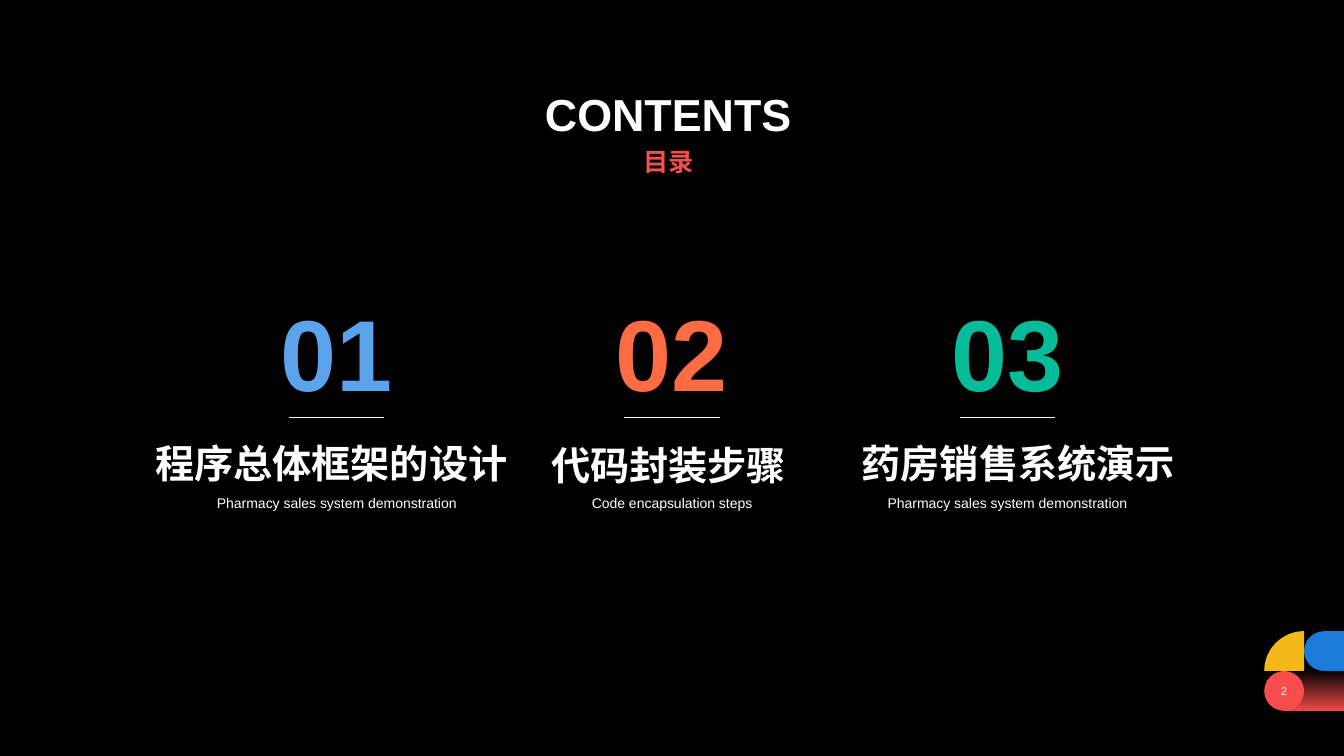
import pptx
import pptx.util
import pptx.dml.color
import pptx.enum.shapes
import pptx.enum.text
import pptx.oxml
import pptx.oxml.ns

Pt = pptx.util.Pt
Shape = pptx.enum.shapes.MSO_SHAPE
Align = pptx.enum.text.PP_ALIGN
Anchor = pptx.enum.text.MSO_ANCHOR
qn = pptx.oxml.ns.qn

COLORS = {
    "black": "000000", "white": "FFFFFF", "red": "F84D4D", "royal": "1B7ADA",
    "yellow": "F4B919", "sky": "5BA3EB", "orange": "FF6B42", "green": "06BB9A",
}
CHAPTERS = [
    ("01", "sky", "程序总体框架的设计", (103.7, 310.3, 274.3, 41),
     "Pharmacy sales system demonstration"),
    ("02", "orange", "代码封装步骤", (386.6, 311.8, 221.8, 41),
     "Code encapsulation steps"),
    ("03", "green", "药房销售系统演示", (608.4, 310.3, 239.8, 41),
     "Pharmacy sales system demonstration"),
]
FIRST_CENTER, PITCH = 240.5, 239.5
TILE, TILE_LEFT, TILE_TOP = 28.5, 903, 450.8


class SlideWriter:
    """Hold the slide style and the current page, and add elements to it."""

    def __init__(self, page, font="Arial"):
        self.page = page
        self.font = font
        page.background.fill.solid()
        page.background.fill.fore_color.rgb = self.color("black")

    def color(self, name):
        return pptx.dml.color.RGBColor.from_string(COLORS[name])

    def style(self, para, size, color, bold=False, align=Align.CENTER):
        para.alignment = align
        for span in para.runs:
            span.font.name = self.font
            span.font.size = Pt(size)
            span.font.bold = bold
            span.font.color.rgb = self.color(color)

    def title(self, frame, lines):
        box = self.page.shapes.title
        box.left, box.top, box.width, box.height = map(Pt, frame)
        text_frame = box.text_frame
        text_frame.text = "\n".join(text for text, size, color in lines)
        text_frame.vertical_anchor = Anchor.BOTTOM
        text_frame.auto_size = pptx.enum.text.MSO_AUTO_SIZE.NONE
        for para, (text, size, color) in zip(text_frame.paragraphs, lines):
            self.style(para, size, color, bold=True)
            para.line_spacing = 1.2
            para.space_before = Pt(0)

    def text(self, frame, text, size, color="white", bold=False,
             align=Align.CENTER, anchor=Anchor.TOP, wrap=True):
        box = self.page.shapes.add_textbox(*map(Pt, frame))
        box.text_frame.text = text
        box.text_frame.word_wrap = wrap
        box.text_frame.vertical_anchor = anchor
        self.style(box.text_frame.paragraphs[0], size, color, bold, align)

    def shape(self, kind, frame, color, adjustments=(), rotation=0):
        box = self.page.shapes.add_shape(kind, *map(Pt, frame))
        box.shadow.inherit = False
        box.line.fill.background()
        box.fill.solid()
        box.fill.fore_color.rgb = self.color(color)
        box.rotation = rotation
        for index, value in enumerate(adjustments):
            box.adjustments[index] = value
        return box

    def fade(self, frame, color):
        box = self.shape(Shape.RECTANGLE, frame, color)
        box.fill.gradient()
        box.fill.gradient_angle = 270
        for stop, position in zip(box.fill.gradient_stops, (0, 1)):
            stop.color.rgb = self.color(color)
            stop.position = position
        clear = next(box.element.spPr.iter(qn("a:srgbClr")))
        alpha = pptx.oxml.parse_xml(
            f'<a:alpha {pptx.oxml.ns.nsdecls("a")} val="0"/>')
        clear.append(alpha)

    def rule(self, left, right, top):
        line = self.page.shapes.add_connector(
            pptx.enum.shapes.MSO_CONNECTOR.STRAIGHT,
            Pt(left), Pt(top), Pt(right), Pt(top))
        line.line.color.rgb = self.color("white")
        line.line.width = Pt(0.75)
        effects = pptx.oxml.parse_xml(
            f'<a:effectLst {pptx.oxml.ns.nsdecls("a")}/>')
        line.element.spPr.append(effects)

    def chapter(self, center, number, color, heading, heading_frame, caption):
        self.rule(center - 34, center + 34, 298.1)
        self.text((center - 50.75, 203.8, 101.5, 94.3), number, 72, color, True)
        self.text(heading_frame, heading, 28, bold=True, align=Align.LEFT)
        self.text((center - 111, 350, 222, 19.4), caption, 10)

    def corner(self, number):
        middle, lower = TILE_LEFT + TILE, TILE_TOP + TILE
        self.shape(Shape.ROUND_2_SAME_RECTANGLE, (middle, TILE_TOP, TILE, TILE),
                   "royal", (0.5, 0), 270)
        self.fade((TILE_LEFT + TILE / 2, lower, TILE * 1.5, TILE), "red")
        self.shape(Shape.OVAL, (TILE_LEFT, lower, TILE, TILE), "red")
        self.shape(Shape.PIE, (TILE_LEFT, TILE_TOP, TILE * 2, TILE * 2),
                   "yellow", (108, 162))
        self.text((907.2, 485.3, 20, 17), number, 8,
                  anchor=Anchor.MIDDLE, wrap=False)


def main():
    deck = pptx.Presentation()
    deck.slide_width, deck.slide_height = Pt(960), Pt(540)
    writer = SlideWriter(deck.slides.add_slide(deck.slide_layouts[5]))
    writer.corner("2")
    writer.title((309.6, 49, 335.5, 80.6),
                 [("CONTENTS", 32, "white"), ("目录", 18, "red")])
    for index, chapter in enumerate(CHAPTERS):
        writer.chapter(FIRST_CENTER + index * PITCH, *chapter)
    deck.save("out.pptx")


if __name__ == "__main__":
    main()
